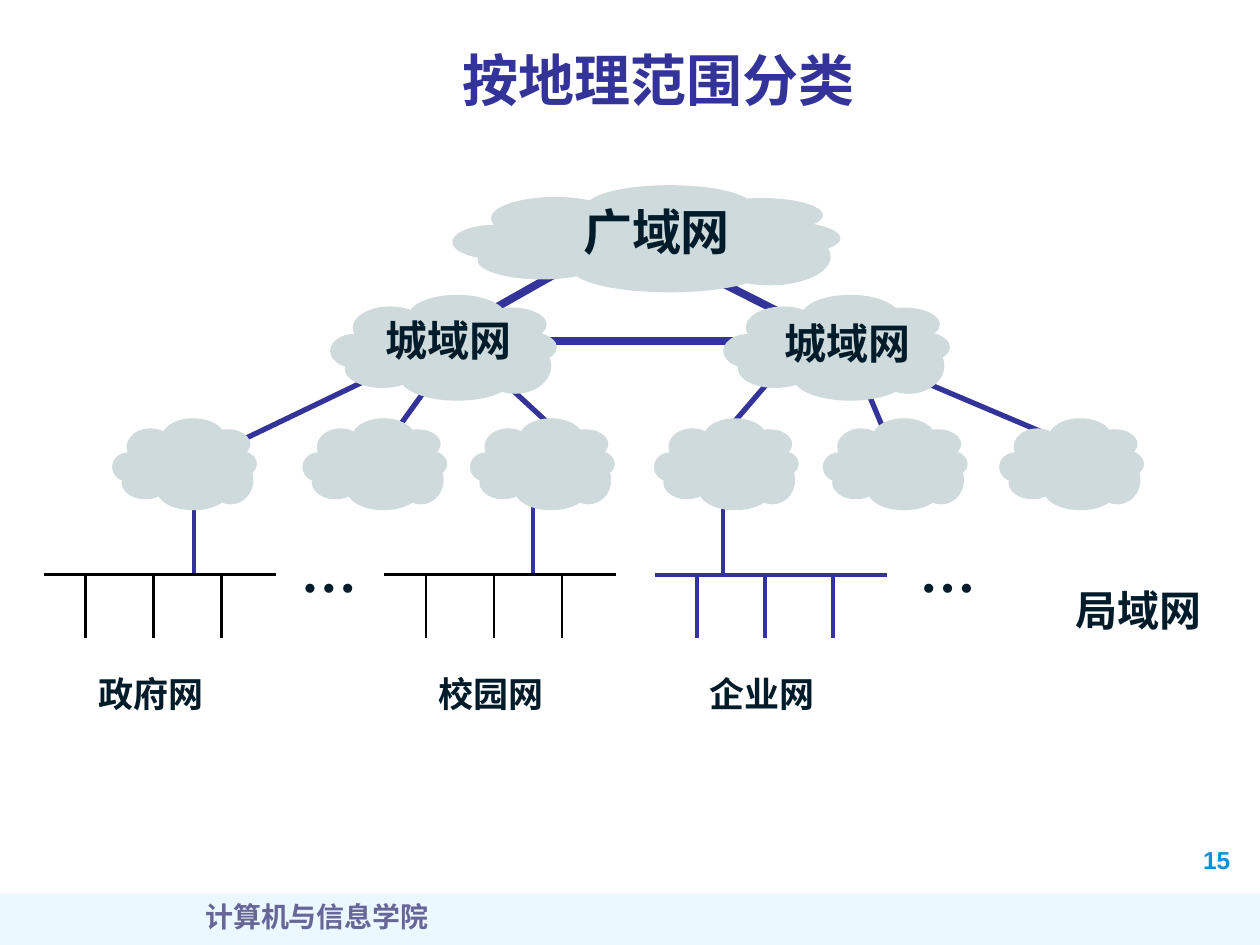
from dataclasses import dataclass
from lxml.etree import SubElement
from pptx import Presentation
from pptx.dml.color import RGBColor
from pptx.enum.lang import MSO_LANGUAGE_ID
from pptx.enum.shapes import MSO_CONNECTOR, MSO_SHAPE
from pptx.enum.text import MSO_ANCHOR, MSO_AUTO_SIZE, PP_ALIGN
from pptx.oxml.ns import qn
from pptx.util import Emu, Pt


@dataclass(frozen=True)
class Theme:
    navy: str = "333399"
    cloud: str = "CEDADB"
    ink: str = "001C2A"
    black: str = "000000"
    band: str = "A7E2FF"
    foot: str = "666699"
    page: str = "0094DE"
    serif: str = "Times New Roman"
    sans: str = "Arial"
    title: int = 32
    wan: int = 28
    man: int = 24
    lan: int = 20
    note: int = 16
    num: int = 14


T = Theme()
PX = 9144

PUFFS = [
    (34.5, 0, 43, 40), (10, 11, 33, 40), (0, 37, 22, 32),
    (6.5, 52, 33, 36), (31, 57.5, 50, 42.5), (64, 12, 31.5, 32),
    (68.5, 33.5, 31.5, 32), (66, 40.5, 31.5, 53), (18, 24.5, 65, 53),
]


def px(*vals):
    return [Emu(round(v * PX)) for v in vals]


def rgb(code):
    return RGBColor.from_string(code)


def text(slide, box, words, size, color=T.ink, face=T.serif, align=None, wrap=False):
    item = slide.shapes.add_textbox(*px(*box))
    frame = item.text_frame
    frame.word_wrap = wrap
    frame.auto_size = MSO_AUTO_SIZE.NONE if wrap else MSO_AUTO_SIZE.SHAPE_TO_FIT_TEXT
    para = frame.paragraphs[0]
    para.text = words
    para.alignment = align
    font = para.font
    font.name, font.size, font.bold = face, Pt(size), True
    font.color.rgb = rgb(color)
    font.language_id = MSO_LANGUAGE_ID.SIMPLIFIED_CHINESE
    return item


def fill(shape, color):
    shape.shadow.inherit = False
    shape.fill.solid()
    shape.fill.fore_color.rgb = rgb(color)
    shape.line.fill.background()


def line(host, ends, color, width):
    item = host.shapes.add_connector(MSO_CONNECTOR.STRAIGHT, *px(*ends))
    item.line.color.rgb = rgb(color)
    item.line.width = Pt(width)
    SubElement(item._element.spPr, qn("a:effectLst"))


def header(slide, box):
    item = text(slide, box, "按地理范围分类", T.title, T.navy,
                align=PP_ALIGN.CENTER, wrap=True)
    item.text_frame.vertical_anchor = MSO_ANCHOR.MIDDLE
    prop = item.text_frame.paragraphs[0].runs[0]._r.get_or_add_rPr()
    glow = SubElement(SubElement(prop, qn("a:effectLst")), qn("a:outerShdw"),
                      dist="35921", dir="2700000", algn="ctr")
    SubElement(glow, qn("a:srgbClr"), val="C0C0C0")


def footer(slide, box):
    x, y, w, h = box
    band = slide.shapes.add_shape(MSO_SHAPE.RECTANGLE, *px(*box))
    fill(band, T.band)
    tint = band._element.spPr.find(qn("a:solidFill"))[0]
    SubElement(tint, qn("a:alpha"), val="21000")
    text(slide, (x + 945, y - 43, 59, 33), "15", T.num, T.page, T.sans)
    text(slide, (x + 27, y, 449, 41), "计算机与信息学院", T.note, T.foot,
         align=PP_ALIGN.CENTER, wrap=True)


def cloud(slide, box):
    x, y, w, h = box
    group = slide.shapes.add_group_shape()
    for left, top, wide, high in PUFFS:
        spot = (x + left * w / 100, y + top * h / 100, wide * w / 100, high * h / 100)
        fill(group.shapes.add_shape(MSO_SHAPE.OVAL, *px(*spot)), T.cloud)


def lan(slide, box, name, color, width):
    x, y, w, h = box
    group = slide.shapes.add_group_shape()
    for step in range(3):
        tick = x + 33 + 54 * step
        line(group, (tick, y + h, tick, y), color, width)
    line(group, (x, y, x + w, y), color, width)
    text(slide, (x + 33, y + 73, 104, 43), name, T.lan)


def links(slide, box):
    x, y = box[:2]
    for spot in (574, 423, 154):
        line(slide, (x + spot, y + 247, x + spot, y + 309), T.navy, 2.25)
    for top, low in ((305, 176), (348, 312), (391, 445),
                     (617, 574), (682, 703), (714, 832)):
        line(slide, (x + top, y + 148, x + low, y + 198 + 12 * (low == 176)), T.navy, 3)
    for a, b, c, d in ((477, 50, 369, 111), (542, 62, 639, 111), (412, 124, 595, 124)):
        line(slide, (x + a, y + b, x + c, y + d), T.navy, 4.5)


def tree(slide, box):
    x, y = box[:2]
    links(slide, box)
    for left, gap, drop in ((262, 34, 98), (574, 39, 100)):
        cloud(slide, (x + left, y + 87, 180, 84))
        text(slide, (x + left + gap, y + drop, 121, 50), "城域网", T.man)
    for left in (89, 240, 373, 519, 653, 793):
        cloud(slide, (x + left, y + 185, 115, 73))
    for left, name, color, width in ((35, "政府网", T.black, 1.5),
                                     (305, "校园网", T.black, 1.5),
                                     (520, "企业网", T.navy, 2.25)):
        lan(slide, (x + left, y + 309, 184, 50), name, color, width)
    cloud(slide, (x + 359, y, 308, 85))
    text(slide, (x + 453, y + 8, 137, 57), "广域网", T.wan)
    text(slide, (x + 844, y + 312, 122, 51), "局域网", T.man)
    for left in (229, 720):
        text(slide, (x + left, y + 274, 65, 63), "…", T.title)


def main():
    deck = Presentation()
    deck.slide_width, deck.slide_height = px(1000, 750)
    slide = deck.slides.add_slide(deck.slide_layouts[6])
    footer(slide, (0, 709, 1000, 41))
    header(slide, (135, 25, 775, 75))
    tree(slide, (0, 147, 1000, 426))
    deck.save("out.pptx")


if __name__ == "__main__":
    main()
